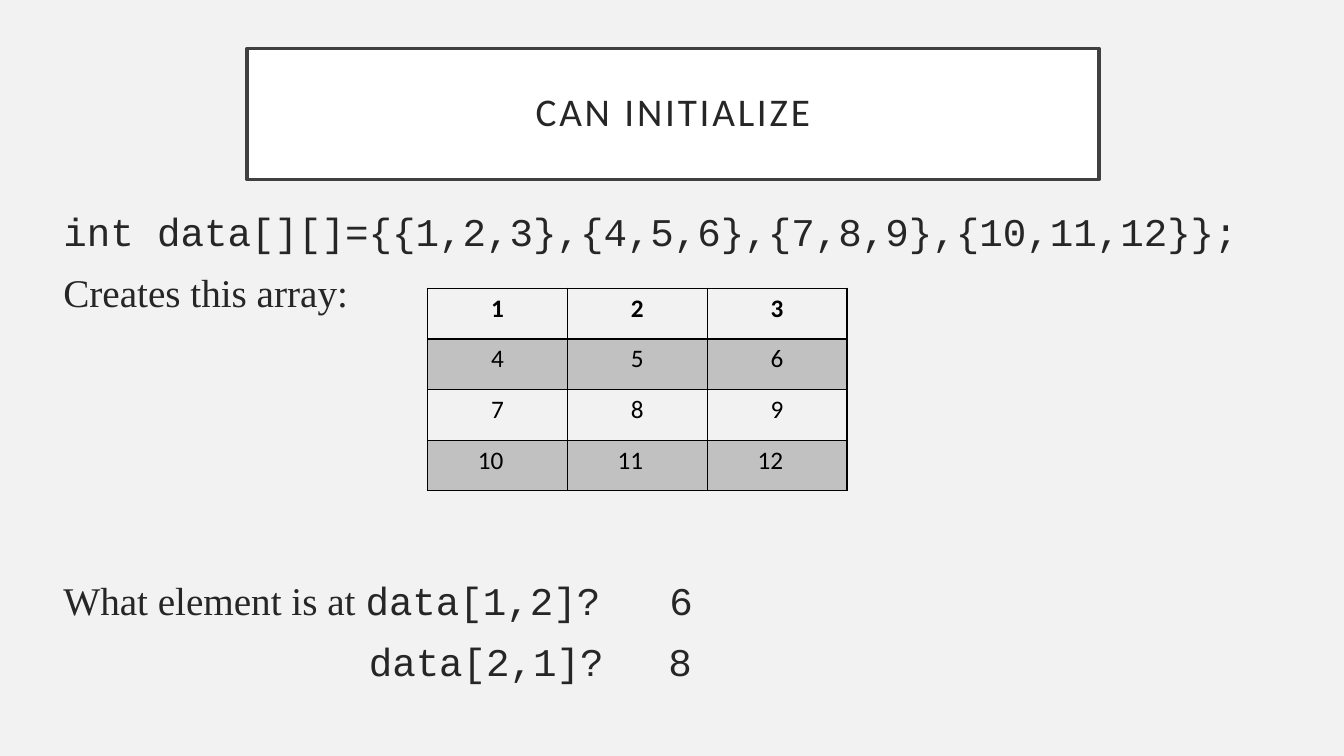
import pptx
import pptx.dml.color
import pptx.enum.text
import pptx.oxml.ns
import pptx.util
from lxml import etree

Inches, Pt = pptx.util.Inches, pptx.util.Pt
qn = pptx.oxml.ns.qn
ALIGN, ANCHOR = pptx.enum.text.PP_ALIGN, pptx.enum.text.MSO_ANCHOR

INK, BLACK, MONO, SERIF = "262626", "000000", "Courier New", "Times New Roman"


def rgb(value):
    return pptx.dml.color.RGBColor.from_string(value)


def add_run(p, text, size=28, font="Calibri", color=INK, bold=False, spacing=0):
    r = p.add_run()
    r.text = text
    r.font.size, r.font.name, r.font.bold = Pt(size), font, bold
    r.font.color.rgb = rgb(color)
    if spacing:
        r.font._element.set("spc", str(spacing * 100))


def set_tabs(p, stops):
    tabs = etree.SubElement(p._p.get_or_add_pPr(), qn("a:tabLst"))
    for stop in stops:
        etree.SubElement(tabs, qn("a:tab"), pos=str(Inches(stop)), algn="l")


def set_border(cell, side, width):
    ln = etree.SubElement(cell._tc.get_or_add_tcPr(), qn("a:ln" + side), w=str(Pt(width)))
    fill = etree.SubElement(ln, qn("a:solidFill"))
    etree.SubElement(fill, qn("a:srgbClr"), val=BLACK)


class ArraySlide:
    def __init__(self, prs):
        self.s = prs.slides.add_slide(prs.slide_layouts[5])
        self.s.background.fill.solid()
        self.s.background.fill.fore_color.rgb = rgb("F2F2F2")

    def title(self, text, x, y, w, h):
        sp = self.s.shapes.title
        sp.left, sp.top, sp.width, sp.height = map(Inches, (x, y, w, h))
        sp.fill.solid()
        sp.fill.fore_color.rgb = rgb("FFFFFF")
        sp.line.color.rgb = rgb("404040")
        sp.line.width = Pt(2.5)
        tf = sp.text_frame
        tf.word_wrap, tf.vertical_anchor = True, ANCHOR.MIDDLE
        tf.margin_left = tf.margin_right = tf.margin_top = tf.margin_bottom = Inches(0.2)
        p = tf.paragraphs[0]
        p.alignment, p.line_spacing = ALIGN.CENTER, 0.9
        add_run(p, text, spacing=2)

    def body(self, lines, x, y, w, h):
        tf = self.s.shapes.add_textbox(*map(Inches, (x, y, w, h))).text_frame
        tf.word_wrap = True
        for i, (before, stops, runs) in enumerate(lines):
            p = tf.add_paragraph() if i else tf.paragraphs[0]
            p.space_before = Pt(before)
            if stops:
                set_tabs(p, stops)
            for text, font in runs:
                add_run(p, text, font=font)

    def table(self, rows, x, y, w, h):
        frame = self.s.shapes.add_table(len(rows), len(rows[0]), *map(Inches, (x, y, w, h)))
        table = frame.table
        table.first_row = table.horz_banding = False
        for i, row in enumerate(rows):
            for j, value in enumerate(row):
                self.cell(table.cell(i, j), value, i)

    def cell(self, cell, value, row):
        for side in "LRTB":
            heavy = (row, side) in ((0, "B"), (1, "T"))
            set_border(cell, side, 2 if heavy else 1)
        # Every second row is shaded with 20 % black
        if row % 2:
            cell.fill.solid()
            cell.fill.fore_color.rgb = rgb(BLACK)
            color = cell._tc.tcPr.find(qn("a:solidFill"))[0]
            etree.SubElement(color, qn("a:alpha"), val="20000")
        else:
            cell.fill.background()
        p = cell.text_frame.paragraphs[0]
        if value < 10:
            p.alignment = ALIGN.CENTER
        else:
            cell.margin_left = Inches(0.5)
        add_run(p, str(value), size=18, color=BLACK, bold=row == 0)


def main():
    prs = pptx.Presentation()
    prs.slide_width, prs.slide_height = Inches(13.33), Inches(7.5)
    slide = ArraySlide(prs)

    # Title
    slide.title("CAN INITIALIZE", 2.45, 0.48, 8.45, 1.3)

    # Declaration and questions: space before, tab stops, runs
    slide.body([
        (6, [], [("int data[][]={{1,2,3},{4,5,6},{7,8,9},{10,11,12}};", MONO)]),
        (10, [], [("Creates this array:", SERIF)]),
        (186, [6.01], [("What element is at ", SERIF), ("data[1,2]?\t6", MONO)]),
        (10, [3.03, 6], [("\tdata[2,1]?\t8", MONO)]),
    ], 0.53, 2.01, 12.23, 4.84)

    # Array contents
    rows = [[3 * i + j + 1 for j in range(3)] for i in range(4)]
    slide.table(rows, 4.24, 2.86, 4.16, 2.01)

    prs.save("out.pptx")


if __name__ == "__main__":
    main()
